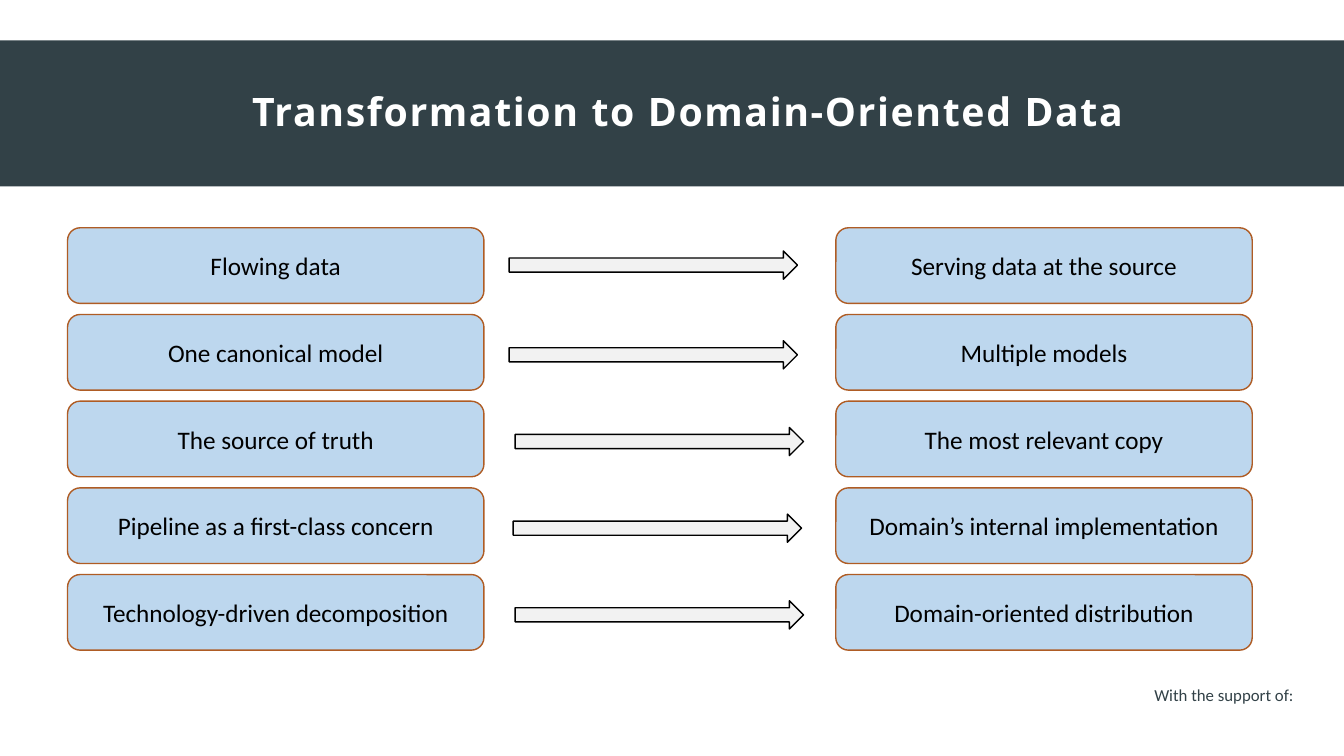
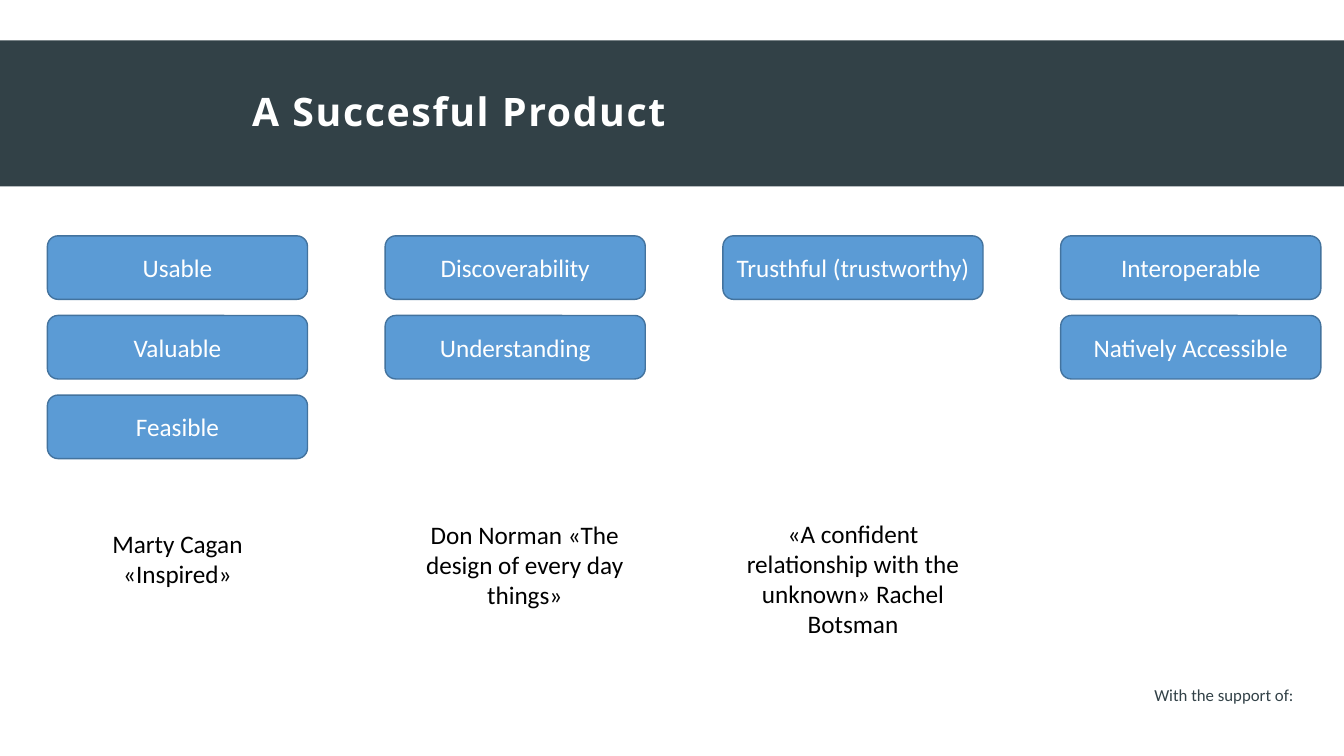
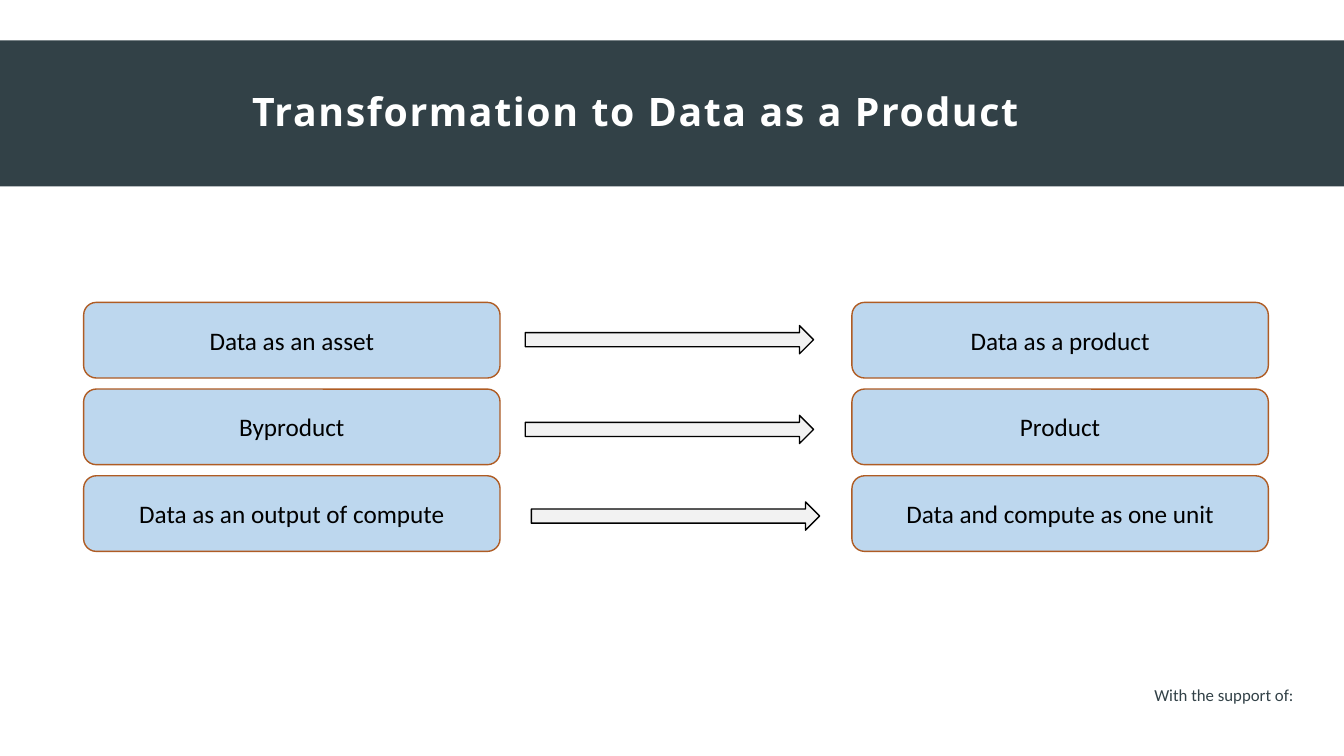
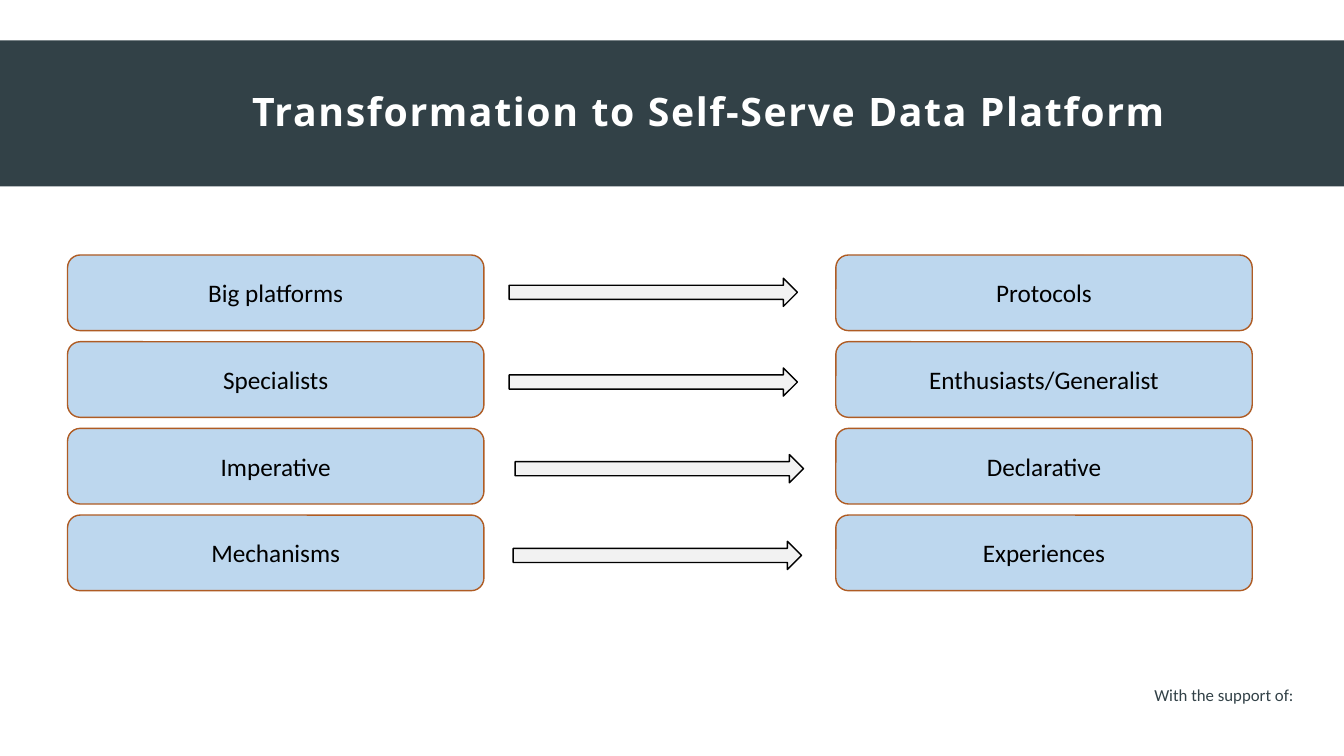
from dataclasses import dataclass
from typing import Optional

from pptx import Presentation
from pptx import util as u
from pptx.dml.color import RGBColor
from pptx.enum import shapes, text
from pptx.oxml.ns import qn
from pptx.shapes.autoshape import Shape
from pptx.slide import Slide, SlideLayout

PX = 9144  # EMU; 100 px to the inch

SLATE = RGBColor(0x32, 0x41, 0x47)
WHITE = RGBColor(0xFF, 0xFF, 0xFF)
BLACK = RGBColor(0x00, 0x00, 0x00)
PALE_BLUE = RGBColor(0xBD, 0xD7, 0xEE)
RUST = RGBColor(0xAF, 0x5C, 0x24)
BLUE = RGBColor(0x5B, 0x9B, 0xD5)
DARK_BLUE = RGBColor(0x43, 0x73, 0x9E)
LIGHT_GREY = RGBColor(0xF2, 0xF2, 0xF2)

PAGE_WIDTH, PAGE_HEIGHT = 1333, 750
BAND_TOP, BAND_HEIGHT = 40, 145

CARD_WIDTH, CARD_HEIGHT, CARD_PITCH = 413, 75, 86
TARGET_OFFSET = 762
ARROW_WIDTH, ARROW_HEIGHT = 286, 28
ARROW_OFFSETS = [(438, 23), (438, 26), (444, 26), (442, 26), (444, 26)]

TRAIT_LEFT, TRAIT_TOP = 47, 234
TRAIT_WIDTH, TRAIT_HEIGHT = 258, 63
COLUMN_PITCH, TRAIT_PITCH = 335, 79


@dataclass(frozen=True)
class Area:
    left: int
    top: int
    width: int
    height: int

    def emu(self) -> tuple[int, int, int, int]:
        return (self.left * PX, self.top * PX, self.width * PX, self.height * PX)


@dataclass(frozen=True)
class Style:
    fill: RGBColor
    line: Optional[RGBColor] = None
    font: RGBColor = BLACK


@dataclass(frozen=True)
class Transformation:
    title: str
    left: int
    top: int
    pairs: list[tuple[str, str]]


@dataclass(frozen=True)
class Quote:
    words: str
    top: int
    width: int
    height: int


@dataclass(frozen=True)
class Column:
    traits: list[str]
    quote: Optional[Quote] = None


BAND = Style(SLATE)
CARD = Style(PALE_BLUE, RUST)
ARROW = Style(LIGHT_GREY, BLACK)
TRAIT = Style(BLUE, DARK_BLUE, WHITE)

DOMAIN = Transformation("Transformation to Domain-Oriented Data", 67, 226, [
    ("Flowing data", "Serving data at the source"),
    ("One canonical model", "Multiple models"),
    ("The source of truth", "The most relevant copy"),
    ("Pipeline as a first-class concern", "Domain’s internal implementation"),
    ("Technology-driven decomposition", "Domain-oriented distribution"),
])
PRODUCT = Transformation("Transformation to Data as a Product", 83, 300, [
    ("Data as an asset", "Data as a product"),
    ("Byproduct", "Product"),
    ("Data as an output of compute", "Data and compute as one unit"),
])
PLATFORM = Transformation("Transformation to Self-Serve Data Platform", 67, 253, [
    ("Big platforms", "Protocols"),
    ("Specialists", "Enthusiasts/Generalist"),
    ("Imperative", "Declarative"),
    ("Mechanisms", "Experiences"),
])
COLUMNS = [
    Column(["Usable", "Valuable", "Feasible"],
           Quote("Marty Cagan «Inspired»", 519, 258, 71)),
    Column(["Discoverability", "Understanding"],
           Quote("Don Norman «The design of every day things»", 510, 277, 101)),
    Column(["Trusthful (trustworthy)"],
           Quote("«A confident relationship with the unknown» Rachel Botsman",
                 509, 258, 131)),
    Column(["Interoperable", "Natively Accessible"]),
]


def write(shape: Shape, words: str, color: RGBColor, size: int = 18) -> None:
    """Put one centred Calibri paragraph in the shape."""
    para = shape.text_frame.paragraphs[0]
    para.text = words
    para.alignment = text.PP_ALIGN.CENTER
    font = para.runs[0].font
    font.name, font.size, font.color.rgb = "Calibri", u.Pt(size), color


def add_box(page: Slide, kind: shapes.MSO_SHAPE, area: Area, style: Style,
            words: str = "") -> Shape:
    box = page.shapes.add_shape(kind, *area.emu())
    box.shadow.inherit = False
    box.fill.solid()
    box.fill.fore_color.rgb = style.fill
    if style.line is None:
        box.line.fill.background()
    else:
        box.line.color.rgb = style.line
        box.line.width = u.Pt(1)
    if words:
        box.text_frame.word_wrap = True
        box.text_frame.vertical_anchor = text.MSO_ANCHOR.MIDDLE
        write(box, words, style.font)
    return box


def add_label(page: Slide, area: Area, words: str, color: RGBColor,
              size: int = 18, wrap: bool = True) -> Shape:
    label = page.shapes.add_textbox(*area.emu())
    label.text_frame.word_wrap = wrap
    label.text_frame.auto_size = text.MSO_AUTO_SIZE.SHAPE_TO_FIT_TEXT
    write(label, words, color, size)
    return label


def furnish_layout(layout: SlideLayout, page: Slide) -> None:
    """Draw the band and footer on a page, then move them to its layout."""
    band = add_box(page, shapes.MSO_SHAPE.RECTANGLE,
                   Area(0, BAND_TOP, PAGE_WIDTH, BAND_HEIGHT), BAND)
    footer = add_label(page, Area(1134, 674, 160, 30), "With the support of:",
                       SLATE, size=12, wrap=False)
    for shape in (band, footer):
        layout.shapes.element.append(shape.element)
    title = layout.placeholders[0]
    title.left, title.top, title.width, title.height = Area(
        240, BAND_TOP, 1002, BAND_HEIGHT).emu()


def set_title(page: Slide, words: str) -> None:
    title = page.shapes.title
    frame = title.text_frame
    frame.text = words
    frame.auto_size = text.MSO_AUTO_SIZE.NONE
    frame.vertical_anchor = text.MSO_ANCHOR.MIDDLE
    para = frame.paragraphs[0]
    para.alignment = text.PP_ALIGN.LEFT
    para.line_spacing = 0.9
    font = para.runs[0].font
    font.name, font.size, font.bold = "Open Sans", u.Pt(28), True
    font.color.rgb = WHITE
    for properties in title.element.iter(qn("a:rPr")):
        properties.set("spc", "120")


def draw_transformation(page: Slide, plan: Transformation) -> None:
    set_title(page, plan.title)
    for row, (pair, (arrow_x, arrow_y)) in enumerate(zip(plan.pairs, ARROW_OFFSETS)):
        top = plan.top + row * CARD_PITCH
        for side, words in enumerate(pair):
            add_box(page, shapes.MSO_SHAPE.ROUNDED_RECTANGLE,
                    Area(plan.left + side * TARGET_OFFSET, top, CARD_WIDTH, CARD_HEIGHT),
                    CARD, words)
        add_box(page, shapes.MSO_SHAPE.RIGHT_ARROW,
                Area(plan.left + arrow_x, top + arrow_y, ARROW_WIDTH, ARROW_HEIGHT),
                ARROW)


def draw_product_traits(page: Slide) -> None:
    set_title(page, "A Succesful Product")
    for index, column in enumerate(COLUMNS):
        left = TRAIT_LEFT + index * COLUMN_PITCH
        for row, words in enumerate(column.traits):
            add_box(page, shapes.MSO_SHAPE.ROUNDED_RECTANGLE,
                    Area(left, TRAIT_TOP + row * TRAIT_PITCH, TRAIT_WIDTH, TRAIT_HEIGHT),
                    TRAIT, words)
        if column.quote:
            quote = column.quote
            add_label(page, Area(left, quote.top, quote.width, quote.height),
                      quote.words, BLACK)


def main() -> None:
    deck = Presentation()
    deck.slide_width, deck.slide_height = PAGE_WIDTH * PX, PAGE_HEIGHT * PX
    layout = deck.slide_layouts.get_by_name("Title Only")
    pages = [deck.slides.add_slide(layout) for _ in range(4)]
    furnish_layout(layout, pages[0])
    draw_transformation(pages[0], DOMAIN)
    draw_product_traits(pages[1])
    draw_transformation(pages[2], PRODUCT)
    draw_transformation(pages[3], PLATFORM)
    deck.save("out.pptx")


if __name__ == "__main__":
    main()
